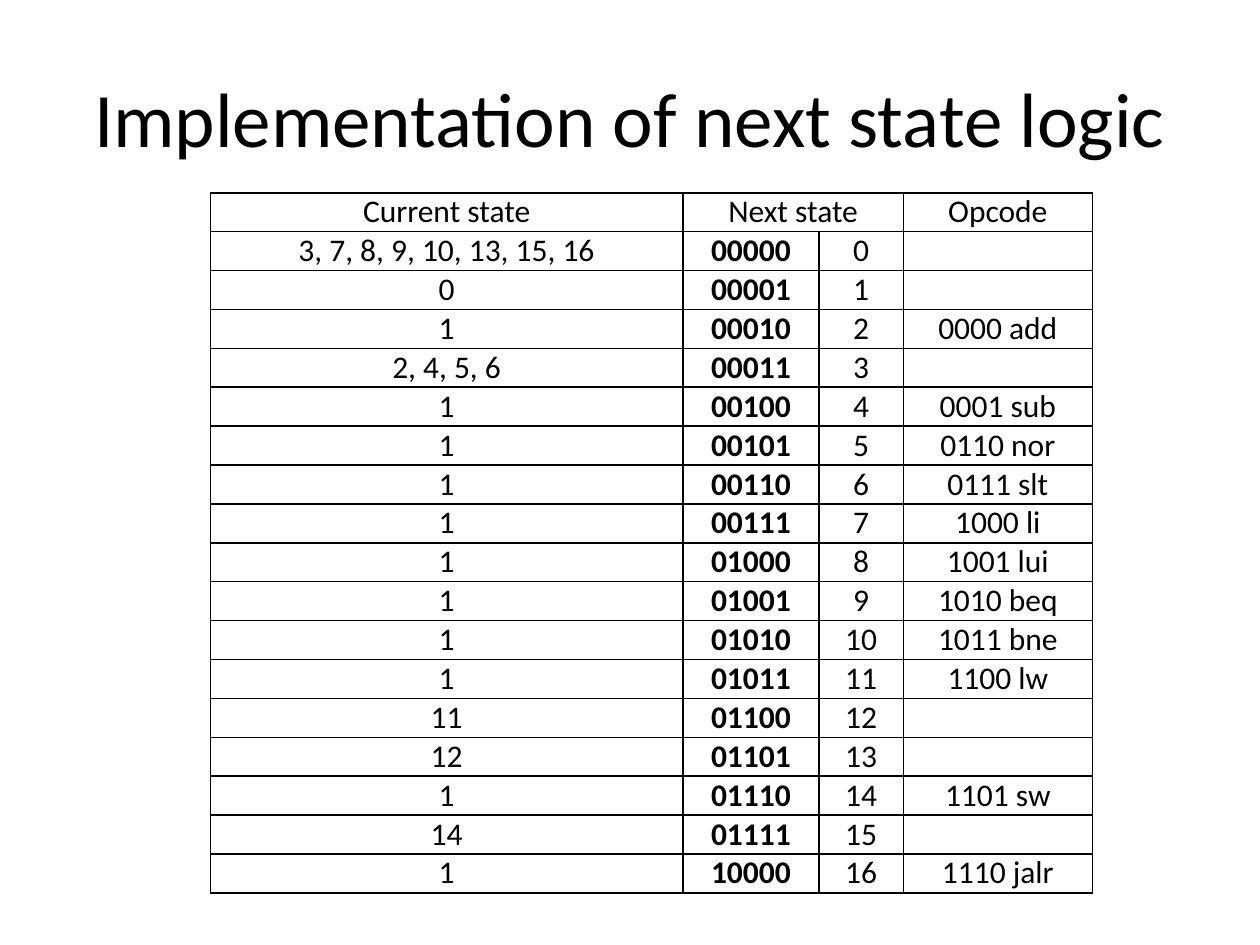
from dataclasses import dataclass

from lxml.etree import SubElement
from pptx import Presentation
from pptx.dml.color import RGBColor
from pptx.enum.text import MSO_ANCHOR, PP_ALIGN
from pptx.oxml.ns import qn
from pptx.slide import Slide
from pptx.table import _Cell
from pptx.text.text import TextFrame
from pptx.util import Inches, Pt

COLORS = {"ink": "000000"}
FONT = "Calibri"
SLIDE_WIDTH, SLIDE_HEIGHT = Inches(10), Inches(7.5)
COLUMN_WIDTHS = (3.75, 1.08, 0.67, 1.5)
ROW_HEIGHT = 5.56 / 18
HEADINGS = ("Current state", "Next state", "", "Opcode")


@dataclass(frozen=True)
class Transition:
    current: str
    opcode: str = ""


# The position in this list is the number of the next state.
TRANSITIONS = [
    Transition("3, 7, 8, 9, 10, 13, 15, 16"),
    Transition("0"),
    Transition("1", "0000 add"),
    Transition("2, 4, 5, 6"),
    Transition("1", "0001 sub"),
    Transition("1", "0110 nor"),
    Transition("1", "0111 slt"),
    Transition("1", "1000 li"),
    Transition("1", "1001 lui"),
    Transition("1", "1010 beq"),
    Transition("1", "1011 bne"),
    Transition("1", "1100 lw"),
    Transition("11"),
    Transition("12"),
    Transition("1", "1101 sw"),
    Transition("14"),
    Transition("1", "1110 jalr"),
]


def write_text(frame: TextFrame, text: str, *, size: float, bold: bool = False) -> None:
    paragraph = frame.paragraphs[0]
    paragraph.alignment = PP_ALIGN.CENTER
    if not text:
        return
    run = paragraph.add_run()
    run.text = text
    run.font.name = FONT
    run.font.size = Pt(size)
    run.font.bold = bold
    run.font.color.rgb = RGBColor.from_string(COLORS["ink"])


def format_cell(cell: _Cell) -> None:
    """Remove margins and fill, and draw a thin line on all four sides."""
    cell.margin_left = cell.margin_right = cell.margin_top = cell.margin_bottom = 0
    properties = cell._tc.get_or_add_tcPr()
    for side in ("a:lnL", "a:lnR", "a:lnT", "a:lnB"):
        line = SubElement(properties, qn(side), w=str(Pt(1)))
        fill = SubElement(line, qn("a:solidFill"))
        SubElement(fill, qn("a:srgbClr"), val=COLORS["ink"])
    cell.fill.background()


def add_title(slide: Slide, text: str) -> None:
    title = slide.shapes.title
    title.left, title.top = int(SLIDE_WIDTH * 0.05), int(SLIDE_HEIGHT * 0.04)
    title.width, title.height = int(SLIDE_WIDTH * 0.9), Inches(1.25)
    title.text_frame.vertical_anchor = MSO_ANCHOR.MIDDLE
    write_text(title.text_frame, text, size=44)


def add_state_table(slide: Slide) -> None:
    rows = [HEADINGS] + [
        (transition.current, f"{state:05b}", str(state), transition.opcode)
        for state, transition in enumerate(TRANSITIONS)
    ]
    table = slide.shapes.add_table(
        len(rows), len(COLUMN_WIDTHS), Inches(1.67), Inches(1.53),
        Inches(sum(COLUMN_WIDTHS)), Inches(ROW_HEIGHT * len(rows)),
    ).table
    table.first_row = table.horz_banding = False
    for column, width in zip(table.columns, COLUMN_WIDTHS):
        column.width = Inches(width)
    for row_index, texts in enumerate(rows):
        table.rows[row_index].height = Inches(ROW_HEIGHT)
        for column_index, text in enumerate(texts):
            cell = table.cell(row_index, column_index)
            format_cell(cell)
            is_state_code = row_index > 0 and column_index == 1
            write_text(cell.text_frame, text, size=18, bold=is_state_code)
    table.cell(0, 1).merge(table.cell(0, 2))


def main() -> None:
    presentation = Presentation()
    presentation.slide_width, presentation.slide_height = SLIDE_WIDTH, SLIDE_HEIGHT
    slide = presentation.slides.add_slide(presentation.slide_layouts.get_by_name("Title Only"))
    add_title(slide, "Implementation of next state logic")
    add_state_table(slide)
    presentation.save("out.pptx")


if __name__ == "__main__":
    main()
